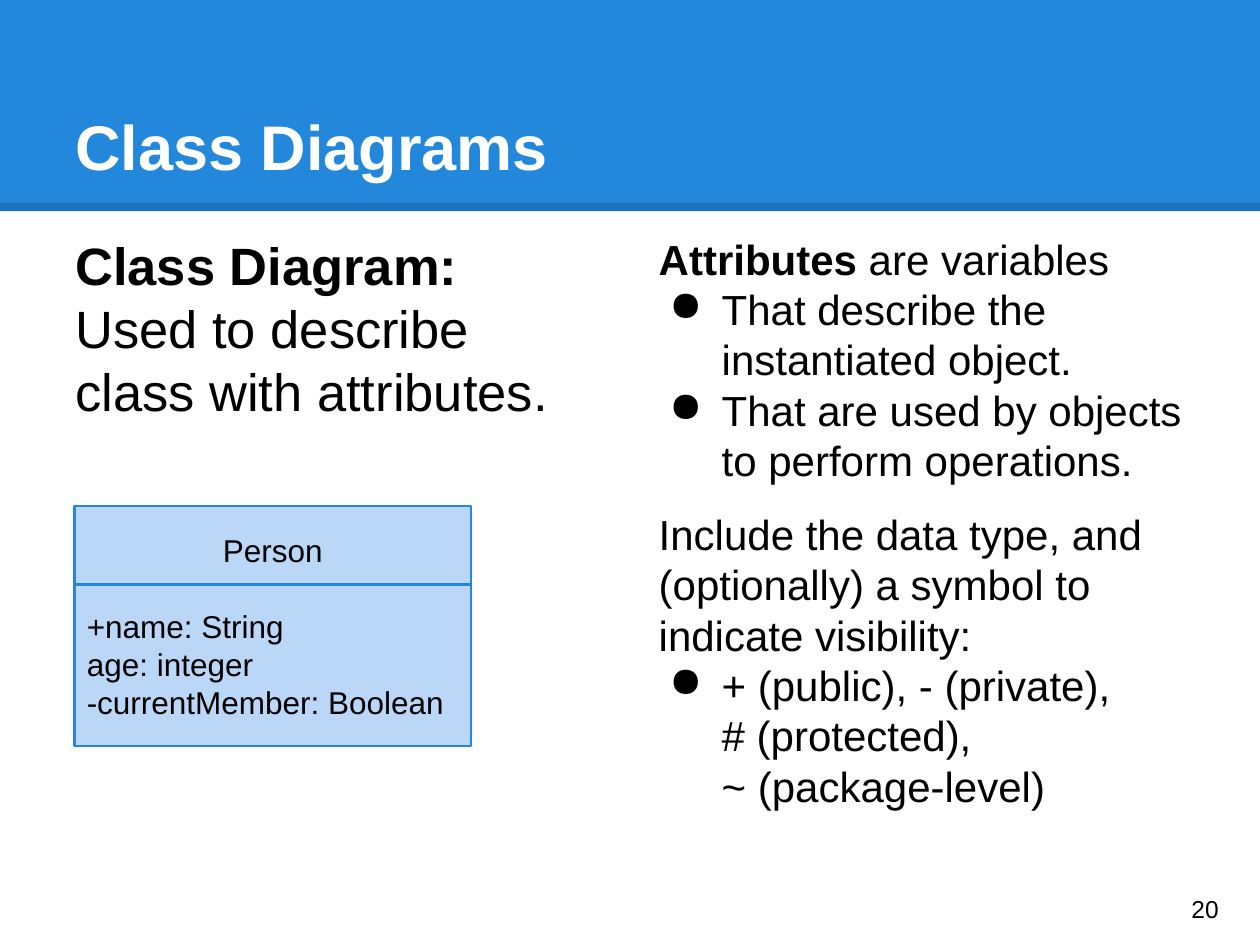
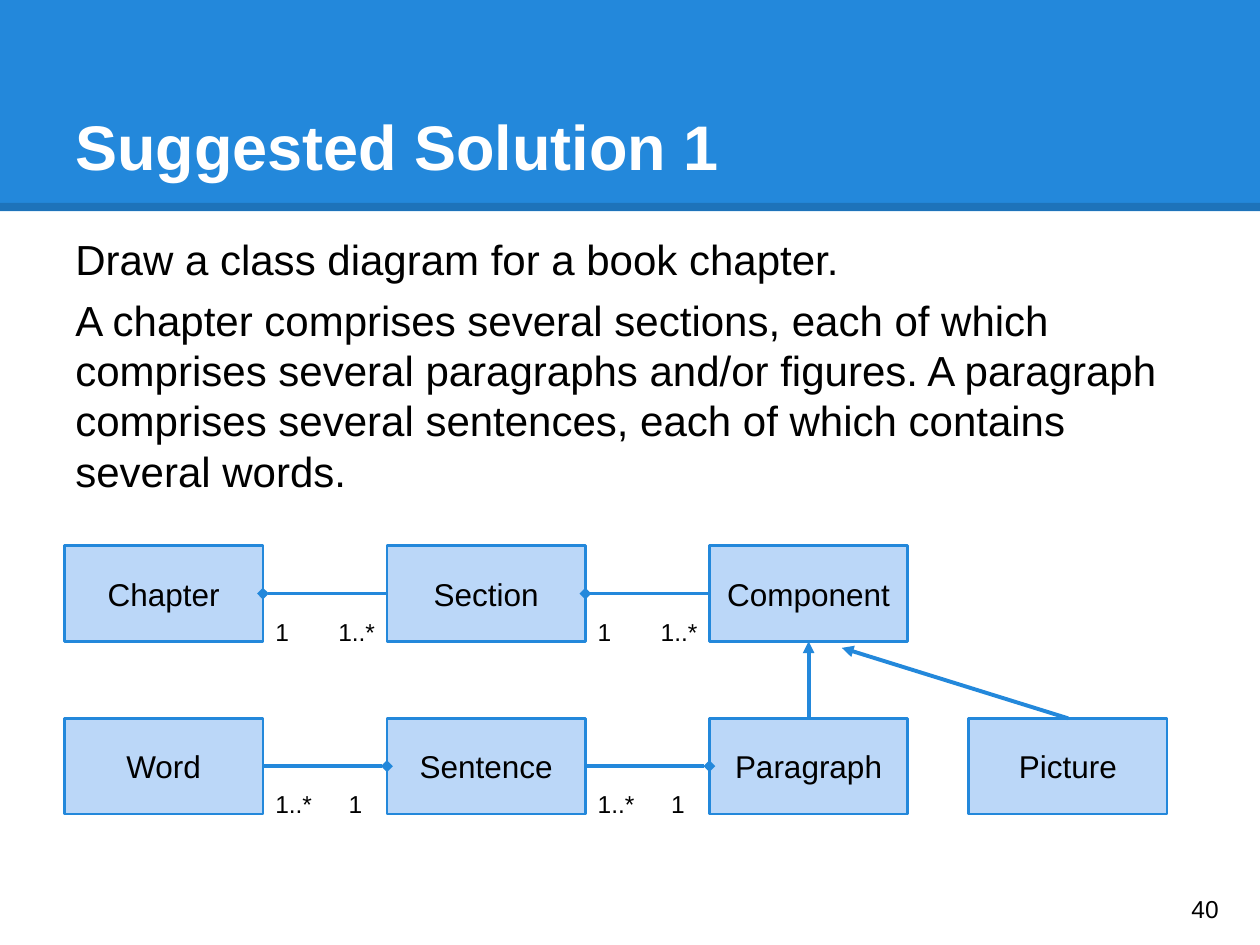
from dataclasses import dataclass

from lxml.etree import SubElement
from pptx import Presentation
from pptx.dml.color import RGBColor
from pptx.enum.shapes import MSO_CONNECTOR, MSO_SHAPE
from pptx.enum.text import MSO_ANCHOR, MSO_AUTO_SIZE, PP_ALIGN
from pptx.oxml.ns import qn
from pptx.util import Cm, Pt


@dataclass(frozen=True)
class Theme:
    """Colours, type sizes and line widths shared by the slides."""
    band: RGBColor = RGBColor(0x23, 0x88, 0xDB)
    pale: RGBColor = RGBColor(0xBB, 0xD7, 0xF8)
    ink: RGBColor = RGBColor(0, 0, 0)
    paper: RGBColor = RGBColor(0xFF, 0xFF, 0xFF)
    font: str = "Arial"
    title: int = 36
    lead: int = 30
    body: int = 24
    diagram: int = 18
    small: int = 14
    leading: float = 1.2
    outline: float = 1.5
    relation: float = 2.25
    rule: float = 4.5


@dataclass(frozen=True)
class Line:
    """One paragraph, with an optional bold opening."""
    text: str
    bold: str = ""
    bullet: bool = False
    before: float = 0
    align: PP_ALIGN = PP_ALIGN.LEFT


THEME = Theme()
BOX_WIDTH, BOX_HEIGHT = 4, 1.93
COLUMNS = [1.3 + 6.5 * index for index in range(3)]
UPPER_ROW, LOWER_ROW = 11, 14.48
PICTURE_LEFT = 19.53


def set_values(target, values):
    """Set each named attribute of the target."""
    for name, value in values.items():
        setattr(target, name, value)


def add_bullet(para):
    """Give a paragraph a hanging round bullet."""
    properties = para._p.get_or_add_pPr()
    properties.set("marL", str(Cm(1.27)))
    properties.set("indent", str(Cm(-1.06)))
    colour = SubElement(properties, qn("a:buClr"))
    SubElement(colour, qn("a:srgbClr"), val=str(THEME.ink))
    SubElement(properties, qn("a:buChar"), char="●")


def add_span(para, text, size, colour, bold=False):
    """Add formatted text, turning newlines into line breaks."""
    for index, part in enumerate(text.split("\n")):
        if index:
            para.add_line_break()
        span = para.add_run()
        span.text = part
        set_values(span.font, {"name": THEME.font, "size": Pt(size), "bold": bold})
        span.font.color.rgb = colour


def write(box, lines, size, colour=THEME.ink, anchor=MSO_ANCHOR.TOP, wrap=True):
    """Fill a shape with paragraphs."""
    frame = box.text_frame
    margins = {f"margin_{side}": Cm(0.25) for side in ("left", "top", "right", "bottom")}
    set_values(frame, margins | {"word_wrap": wrap, "vertical_anchor": anchor,
                                 "auto_size": MSO_AUTO_SIZE.NONE})
    for index, line in enumerate(lines):
        para = frame.add_paragraph() if index else frame.paragraphs[0]
        if line.bullet:
            add_bullet(para)
        set_values(para, {"alignment": line.align, "space_before": Pt(line.before),
                          "line_spacing": Pt(size * THEME.leading)})
        if line.bold:
            add_span(para, line.bold, size, colour, True)
        if line.text:
            add_span(para, line.text, size, colour)


def add_text(page, left, top, width, height, lines, size, **layout):
    """Add a text box."""
    box = page.shapes.add_textbox(Cm(left), Cm(top), Cm(width), Cm(height))
    write(box, lines, size, **layout)


def add_rectangle(page, left, top, width, height, fill):
    """Add a plain filled rectangle without a shadow."""
    box = page.shapes.add_shape(MSO_SHAPE.RECTANGLE, Cm(left), Cm(top), Cm(width), Cm(height))
    box.shadow.inherit = False
    box.fill.solid()
    box.fill.fore_color.rgb = fill
    box.line.fill.background()
    return box


def add_line(page, start, end, colour, width):
    """Add a straight connector without a shadow."""
    line = page.shapes.add_connector(MSO_CONNECTOR.STRAIGHT, *map(Cm, start + end))
    line.line.color.rgb = colour
    line.line.width = Pt(width)
    SubElement(line.element.spPr, qn("a:effectLst"))
    return line


def add_class(page, left, top, lines, width=BOX_WIDTH, height=BOX_HEIGHT):
    """Add an outlined class box."""
    box = add_rectangle(page, left, top, width, height, THEME.pale)
    box.line.color.rgb = THEME.band
    box.line.width = Pt(THEME.outline)
    write(box, lines, THEME.diagram, anchor=MSO_ANCHOR.MIDDLE)
    return box


def add_relation(page, source, source_side, tip, target=None, target_side=0, point=(0, 0)):
    """Join a class to another class or to a point, with a tip at the far end."""
    line = add_line(page, (0, 0), point, THEME.band, THEME.relation)
    line.begin_connect(source, source_side)
    if target is not None:
        line.end_connect(target, target_side)
    SubElement(line.line._get_or_add_ln(), qn("a:tailEnd"), type=tip)


def add_page(deck, title, number):
    """Add a slide with the title band and page number."""
    page = deck.slides.add_slide(deck.slide_layouts[5])
    heading = page.shapes.title
    set_values(heading, {"left": Cm(1.27), "top": Cm(0.76), "width": Cm(22.86),
                         "height": Cm(3.18)})
    write(heading, [Line("", bold=title)], THEME.title, THEME.paper, MSO_ANCHOR.BOTTOM)
    band = add_rectangle(page, 0, 0, 25.4, 4.26, THEME.band)
    rule = add_line(page, (0, 4.17), (25.4, 4.17), THEME.ink, THEME.rule)
    colour = next(rule.element.iter(qn("a:srgbClr")))
    SubElement(colour, qn("a:alpha"), val="15000")
    for backdrop in (band, rule):
        heading.element.addprevious(backdrop.element)
    add_text(page, 23.77, 17.6, 1.52, 1.45, [Line(number)], THEME.small,
             anchor=MSO_ANCHOR.MIDDLE)
    return page


def add_class_diagrams(deck):
    """Build the slide that explains class diagrams."""
    page = add_page(deck, "Class Diagrams", "20")
    add_text(page, 1.27, 4.45, 11.1, 5.1, [
        Line("", bold="Class Diagram:"),
        Line("Used to describe class with attributes."),
    ], THEME.lead)
    add_text(page, 13.03, 4.45, 11.1, 6.5, [
        Line("are variables", bold="Attributes "),
        Line("That describe the instantiated object.", bullet=True),
        Line("That are used by objects to perform operations.", bullet=True),
        Line("Include the data type, and (optionally) a symbol to indicate visibility:",
             before=13.2),
        Line("+ (public), - (private), \n# (protected), \n~ (package-level)", bullet=True),
    ], THEME.body)
    add_class(page, 1.5, 10.2, [
        Line("Person", align=PP_ALIGN.CENTER),
        Line("+name: String", before=THEME.diagram * THEME.leading),
        Line("age: integer"),
        Line("-currentMember: Boolean"),
    ], 8, 4.84)
    add_line(page, (1.5, 11.78), (9.5, 11.78), THEME.band, THEME.outline)


def add_suggested_solution(deck):
    """Build the slide with the book chapter diagram."""
    page = add_page(deck, "Suggested Solution 1", "40")
    add_text(page, 1.27, 4.45, 22.86, 5.77, [
        Line("Draw a class diagram for a book chapter."),
        Line("A chapter comprises several sections, each of which comprises several "
             "paragraphs and/or figures. A paragraph comprises several sentences, "
             "each of which contains several words.", before=6),
    ], THEME.body)

    def add_row(names, top):
        """Place one class in each column."""
        return [add_class(page, left, top, [Line(name, align=PP_ALIGN.CENTER)])
                for name, left in zip(names, COLUMNS)]

    upper = add_row(("Chapter", "Section", "Component"), UPPER_ROW)
    lower = add_row(("Word", "Sentence", "Paragraph"), LOWER_ROW)
    picture = add_class(page, PICTURE_LEFT, LOWER_ROW,
                        [Line("Picture", align=PP_ALIGN.CENTER)])

    for index, left in enumerate(COLUMNS[:-1]):
        add_relation(page, upper[index + 1], 1, "diamond", upper[index], 3)
        add_relation(page, lower[index], 3, "diamond", lower[index + 1], 1)
        gap = left + BOX_WIDTH
        for text, offset, width, top in (("1", 0, 0.81, UPPER_ROW),
                                         ("1..*", 1.27, 1.27, UPPER_ROW),
                                         ("1..*", 0, 1.27, LOWER_ROW),
                                         ("1", 1.48, 0.81, LOWER_ROW)):
            add_text(page, gap + offset, top + 1.18, width, 0.58, [Line(text)],
                     THEME.small, wrap=False)

    add_relation(page, lower[2], 0, "triangle", upper[2], 2)
    add_relation(page, picture, 0, "triangle", point=(16.97, 13.06))


def main():
    """Build and save the deck."""
    deck = Presentation()
    set_values(deck, {"slide_width": Cm(25.4), "slide_height": Cm(19.05)})
    add_class_diagrams(deck)
    add_suggested_solution(deck)
    deck.save("out.pptx")


if __name__ == "__main__":
    main()
